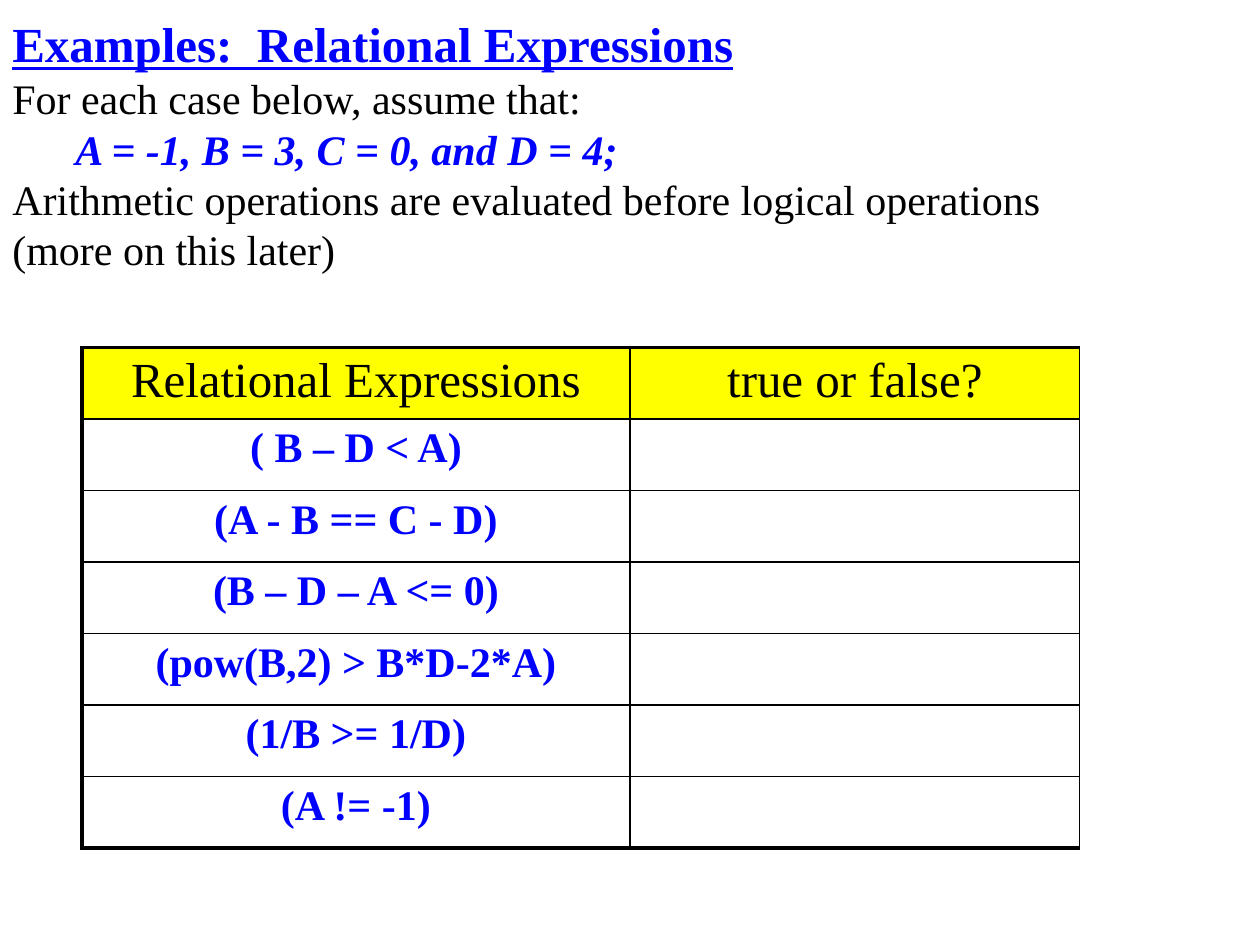
from pptx import Presentation
from pptx import util as u
from pptx.dml.color import RGBColor
from pptx.enum import text
from pptx.oxml import parse_xml
from pptx.oxml.ns import nsdecls

BLUE, BLACK, YELLOW = "0000FF", "000000", "FFFF00"


def color(code):
    return RGBColor.from_string(code)


class Deck:
    font = "Times New Roman"

    def __init__(self, wide, high):
        self.prs = Presentation()
        self.prs.slide_width = u.Inches(wide)
        self.prs.slide_height = u.Inches(high)
        self.slide = self.prs.slides.add_slide(self.prs.slide_layouts[6])

    def style(self, para, size, code, bold=False, italic=False, under=False):
        for run in para.runs:
            font = run.font
            font.name, font.size = self.font, u.Pt(size)
            font.bold, font.italic, font.underline = bold, italic, under
            font.color.rgb = color(code)

    def text(self, box, lines):
        frame = self.slide.shapes.add_textbox(*map(u.Inches, box)).text_frame
        frame.word_wrap = True
        frame.margin_top = u.Inches(0.09)
        frame.text = "\n".join(line for line, _, _ in lines)
        for para, (_, look, pitch) in zip(frame.paragraphs, lines):
            self.style(para, **look)
            if pitch:
                para.line_spacing = u.Pt(pitch)

    def edge(self, cell, side, width):
        cell._tc.get_or_add_tcPr().append(parse_xml(
            f'<a:{side} {nsdecls("a")} w="{u.Pt(width)}"><a:solidFill>'
            f'<a:srgbClr val="{BLACK}"/></a:solidFill></a:{side}>'))

    def table(self, box, widths, rows):
        last = len(rows) - 1
        frame = self.slide.shapes.add_table(
            len(rows), len(widths), *map(u.Inches, box))
        grid = frame.table
        for col, width in zip(grid.columns, widths):
            col.width = u.Inches(width)
        for r, row in enumerate(rows):
            grid.rows[r].height = u.Inches(box[3] / len(rows))
            for c, words in enumerate(row):
                cell = grid.cell(r, c)
                # Heavy outer edges on the left, top and bottom
                for side, heavy in (("lnL", c == 0), ("lnR", False),
                                    ("lnT", r == 0), ("lnB", r == last)):
                    self.edge(cell, side, 2.25 if heavy else 1)
                if r == 0:
                    cell.fill.solid()
                    cell.fill.fore_color.rgb = color(YELLOW)
                else:
                    cell.fill.background()
                cell.text_frame.text = words
                para = cell.text_frame.paragraphs[0]
                para.alignment = text.PP_ALIGN.CENTER
                if r == 0:
                    self.style(para, 28, BLACK)
                else:
                    self.style(para, 24, BLUE, bold=True)


def main():
    deck = Deck(10, 7.5)

    # Title and assumptions
    head = dict(size=28, code=BLUE, bold=True, under=True)
    body = dict(size=24, code=BLACK)
    given = dict(size=24, code=BLUE, bold=True, italic=True)
    deck.text((0, 0.02, 8.5, 2.31), [
        ("Examples:  Relational Expressions", head, None),
        ("For each case below, assume that:", body, 28.8),
        ("\tA = -1, B = 3, C = 0, and D = 4;", given, 28.8),
        ("Arithmetic operations are evaluated before logical operations "
         "(more on this later)", body, 28.8),
    ])

    # Exercise table with blank answers
    cases = ["( B – D < A)", "(A - B == C - D)", "(B – D – A <= 0)",
             "(pow(B,2) > B*D-2*A)", "(1/B >= 1/D)", "(A != -1)"]
    rows = [("Relational Expressions", "true or false?")]
    rows += [(case, "") for case in cases]
    deck.table((0.65, 2.76, 7.92, 3.97), (4.35, 3.57), rows)

    deck.prs.save("out.pptx")


if __name__ == "__main__":
    main()
